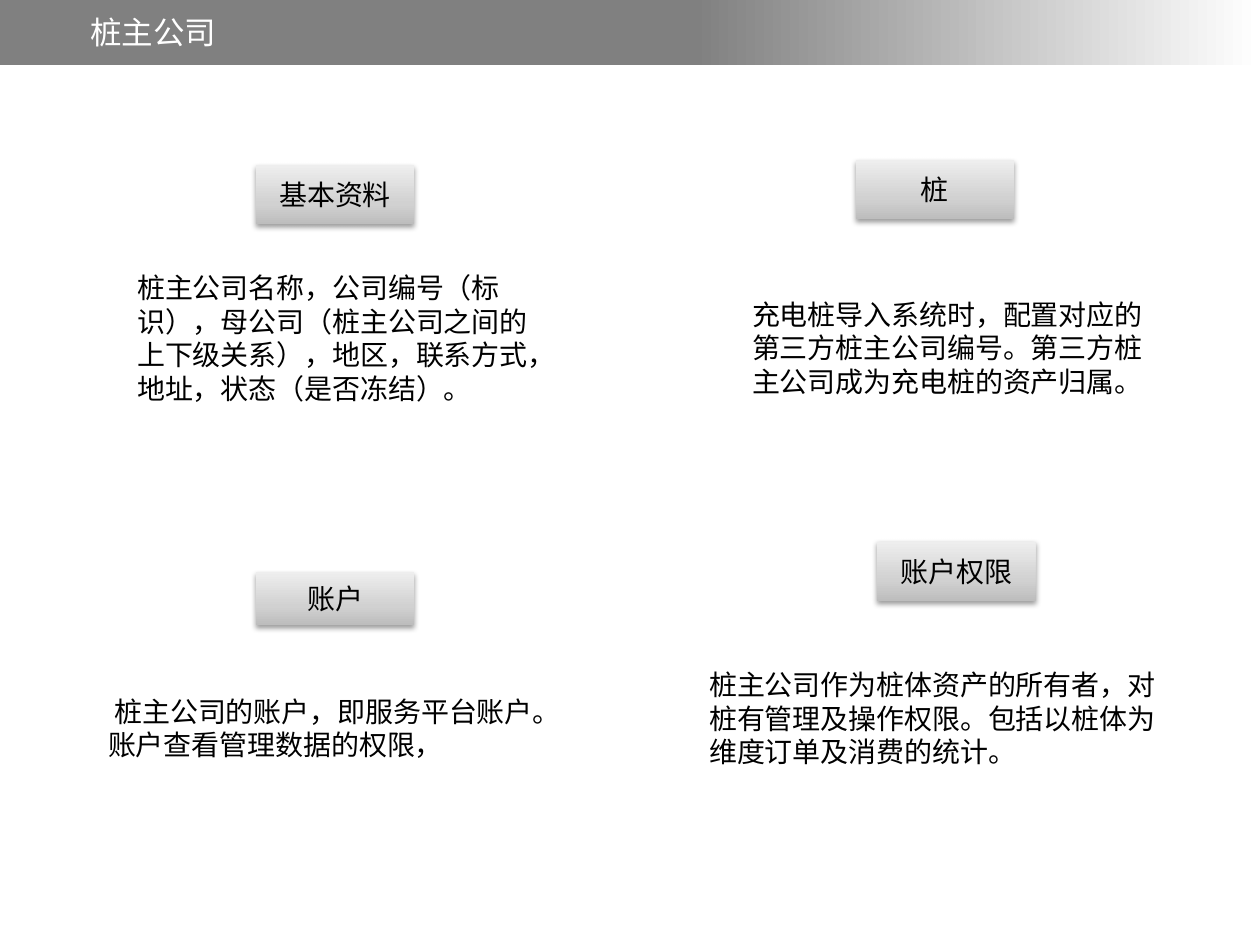
from typing import NamedTuple

from lxml.etree import SubElement
from pptx import Presentation
from pptx.dml.color import RGBColor
from pptx.enum.shapes import MSO_SHAPE
from pptx.enum.text import MSO_ANCHOR, MSO_AUTO_SIZE, PP_ALIGN
from pptx.oxml.ns import qn
from pptx.util import Inches, Pt

COLORS = {"bar": "808080", "white": "FFFFFF", "black": "000000",
          "low": "BDBDBD", "mid": "D1D1D1", "high": "EEEEEE"}
BAR = [(55, "bar"), (100, "white")]
KEY = [(0, "low"), (35, "mid"), (100, "high")]
SHADOW = {"blurRad": "40000", "dist": "20000", "dir": "5400000", "rotWithShape": "0"}
KEY_FRAME = {"word_wrap": True, "vertical_anchor": MSO_ANCHOR.MIDDLE}
NOTE_FRAME = {"word_wrap": True, "auto_size": MSO_AUTO_SIZE.SHAPE_TO_FIT_TEXT}


class Box(NamedTuple):
    """Left, top, width and height in percent of the slide."""
    x: float
    y: float
    w: float
    h: float


class Topic(NamedTuple):
    head: str
    key: Box
    body: str
    note: Box


TOPICS = [
    Topic("基本资料", Box(20.3, 17.47, 12.6, 6.27),
          "桩主公司名称，公司编号（标识），母公司（桩主公司之间的上下级关系），地区，联系方式，地址，状态（是否冻结）。",
          Box(9.9, 28, 34.5, 15.73)),
    Topic("账户", Box(20.3, 60.53, 12.6, 5.6),
          " 桩主公司的账户，即服务平台账户。账户查看管理数据的权限，",
          Box(7.6, 72.8, 38, 8.53)),
    Topic("账户权限", Box(69.6, 57.33, 12.6, 6.27),
          "桩主公司作为桩体资产的所有者，对桩有管理及操作权限。包括以桩体为维度订单及消费的统计。",
          Box(55.3, 70, 38, 12.13)),
    Topic("桩", Box(67.9, 16.93, 12.6, 6.27),
          "充电桩导入系统时，配置对应的第三方桩主公司编号。第三方桩主公司成为充电桩的资产归属。",
          Box(58.7, 30.8, 34.5, 12.13)),
]

deck = Presentation()
deck.slide_width, deck.slide_height = Inches(10), Inches(7.5)
slide = deck.slides.add_slide(deck.slide_layouts[6])


def place(box: Box) -> list[int]:
    wide, high = deck.slide_width, deck.slide_height
    return [round(part * size / 100)
            for part, size in zip(box, (wide, high, wide, high))]


def write(shape, text: str, frame: dict, size: int = 16,
          color: str = "black", align=PP_ALIGN.LEFT) -> None:
    for name, value in frame.items():
        setattr(shape.text_frame, name, value)
    para = shape.text_frame.paragraphs[0]
    para.alignment = align
    run = para.add_run()
    run.text = text
    for name, value in {"name": "Calibri", "size": Pt(size)}.items():
        setattr(run.font, name, value)
    run.font.color.rgb = RGBColor.from_string(COLORS[color])


def add_rect(box: Box, stops: list, angle: int):
    rect = slide.shapes.add_shape(MSO_SHAPE.RECTANGLE, *place(box))
    rect.shadow.inherit = False
    rect.line.fill.background()
    rect.fill.gradient()
    rect.fill.gradient_angle = angle
    # Replace the default gradient stops
    listing = rect.element.spPr.find(".//" + qn("a:gsLst"))
    for stop in list(listing):
        listing.remove(stop)
    for share, color in stops:
        stop = SubElement(listing, qn("a:gs"), pos=str(share * 1000))
        SubElement(stop, qn("a:srgbClr"), val=COLORS[color])
    return rect


def add_key(box: Box, text: str) -> None:
    key = add_rect(box, KEY, 90)
    effects = key.element.spPr.find(qn("a:effectLst"))
    shade = SubElement(effects, qn("a:outerShdw"), SHADOW)
    tint = SubElement(shade, qn("a:srgbClr"), val=COLORS["black"])
    SubElement(tint, qn("a:alpha"), val="38000")
    write(key, text, KEY_FRAME, align=PP_ALIGN.CENTER)


def add_note(box: Box, text: str, size: int = 16, color: str = "black") -> None:
    write(slide.shapes.add_textbox(*place(box)), text, NOTE_FRAME, size, color)


# Title bar
add_rect(Box(0, 0, 100, 6.93), BAR, 0)
add_note(Box(6.2, 0.67, 21, 5.33), "桩主公司", 18, "white")

# Topics: a heading button and its description
for topic in TOPICS:
    add_key(topic.key, topic.head)
    add_note(topic.note, topic.body)

deck.save("out.pptx")
